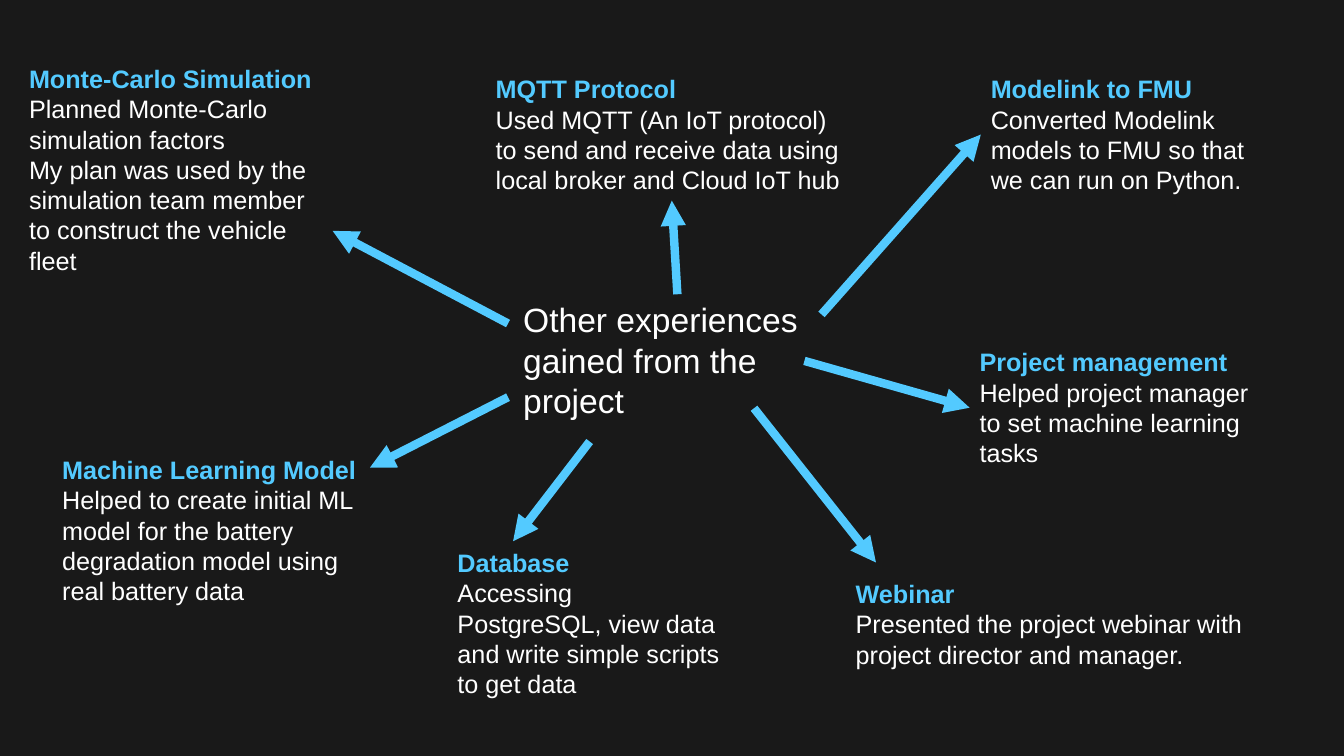
from lxml import etree
from pptx import Presentation
from pptx.dml.color import RGBColor
from pptx.enum.shapes import MSO_CONNECTOR
from pptx.enum.text import MSO_ANCHOR, MSO_AUTO_SIZE, PP_ALIGN
from pptx.oxml.ns import qn
from pptx.util import Pt

STRAIGHT = MSO_CONNECTOR.STRAIGHT
TOP = MSO_ANCHOR.TOP
FIT_SHAPE = MSO_AUTO_SIZE.SHAPE_TO_FIT_TEXT
LEFT = PP_ALIGN.LEFT

FONT = "Arial"
DARK, WHITE, BLUE = "191919", "FFFFFF", "53CAFF"
TOP_SIDE, LEFT_SIDE, BOTTOM_SIDE = 0, 1, 2

EXPERIENCES = {
    "Database": (
        (319.7, 387.4, 202.3, 116.6),
        ["Accessing PostgreSQL, view data and write simple scripts to get data"]),
    "MQTT Protocol": (
        (347, 49, 265.7, 94.3),
        ["Used MQTT (An IoT protocol) to send and receive data using "
         "local broker and Cloud IoT hub"]),
    "Project management": (
        (692.6, 244.1, 215.3, 94.3),
        ["Helped project manager to set machine learning tasks"]),
    "Monte-Carlo Simulation": (
        (13.7, 41.8, 230.4, 159.8),
        ["Planned Monte-Carlo simulation factors",
         "My plan was used by the simulation team member to construct "
         "the vehicle fleet"]),
    "Machine Learning Model": (
        (37.4, 321.1, 230.4, 116.6),
        ["Helped to create initial ML model for the battery degradation "
         "model using real battery data"]),
    "Webinar": (
        (604.1, 409.7, 303.1, 72.7),
        ["Presented the project webinar with project director and manager."]),
    "Modelink to FMU": (
        (700.6, 49, 215.3, 94.3),
        ["Converted Modelink models to FMU so that we can run on Python."]),
}

ARROWS = [
    ("Monte-Carlo Simulation", (362.9, 231.1), (237.6, 164.9), None),
    ("Machine Learning Model", (362.9, 283.7), (264.2, 334.1), None),
    ("Database", (421.2, 315.4), (366.5, 386.6), None),
    ("Webinar", (538.6, 291.6), (625.7, 401.8), None),
    ("MQTT Protocol", (483.8, 210.2), (479.9, 143.3), BOTTOM_SIDE),
    ("Project management", (574.6, 257.8), (692.6, 291.3), LEFT_SIDE),
    ("Modelink to FMU", (586.8, 224.6), (700.6, 96.1), LEFT_SIDE),
]


def color(hex_string):
    return RGBColor.from_string(hex_string)


def style(paragraph, size, hex_string, bold=False):
    paragraph.alignment = LEFT
    for run in paragraph.runs:
        run.font.name = FONT
        run.font.size = Pt(size)
        run.font.bold = bold
        run.font.color.rgb = color(hex_string)


def set_frame(frame):
    frame.word_wrap = True
    frame.auto_size = FIT_SHAPE
    frame.vertical_anchor = TOP


def place_title(slide, text):
    title = slide.shapes.title
    title.left, title.top = Pt(366.5), Pt(210.2)
    title.width, title.height = Pt(234.7), Pt(94.3)
    title.text_frame.text = text
    set_frame(title.text_frame)
    style(title.text_frame.paragraphs[0], 24, WHITE)
    return title


def add_experience(slide, heading, box, details):
    experience = slide.shapes.add_textbox(*map(Pt, box))
    frame = experience.text_frame
    frame.text = "\n".join([heading, *details])
    set_frame(frame)
    style(frame.paragraphs[0], 18, BLUE, bold=True)
    for detail in frame.paragraphs[1:]:
        style(detail, 18, WHITE)
    return experience


def add_arrow(slide, start, end):
    arrow = slide.shapes.add_connector(STRAIGHT, *map(Pt, (*start, *end)))
    arrow.line.color.rgb = color(BLUE)
    arrow.line.width = Pt(6)
    properties = arrow.line._get_or_add_ln()
    etree.SubElement(properties, qn("a:tailEnd"), type="triangle")
    etree.SubElement(properties.getparent(), qn("a:effectLst"))
    return arrow


def main():
    presentation = Presentation()
    presentation.slide_width, presentation.slide_height = Pt(960), Pt(540)
    slide = presentation.slides.add_slide(presentation.slide_layouts[5])
    slide.background.fill.solid()
    slide.background.fill.fore_color.rgb = color(DARK)

    title = place_title(slide, "Other experiences gained from the project")
    experiences = {
        heading: add_experience(slide, heading, box, details)
        for heading, (box, details) in EXPERIENCES.items()
    }
    for heading, start, end, side in ARROWS:
        arrow = add_arrow(slide, start, end)
        if side is not None:
            arrow.end_connect(experiences[heading], side)
        if heading == "MQTT Protocol":
            arrow.begin_connect(title, TOP_SIDE)

    presentation.save("out.pptx")


if __name__ == "__main__":
    main()
